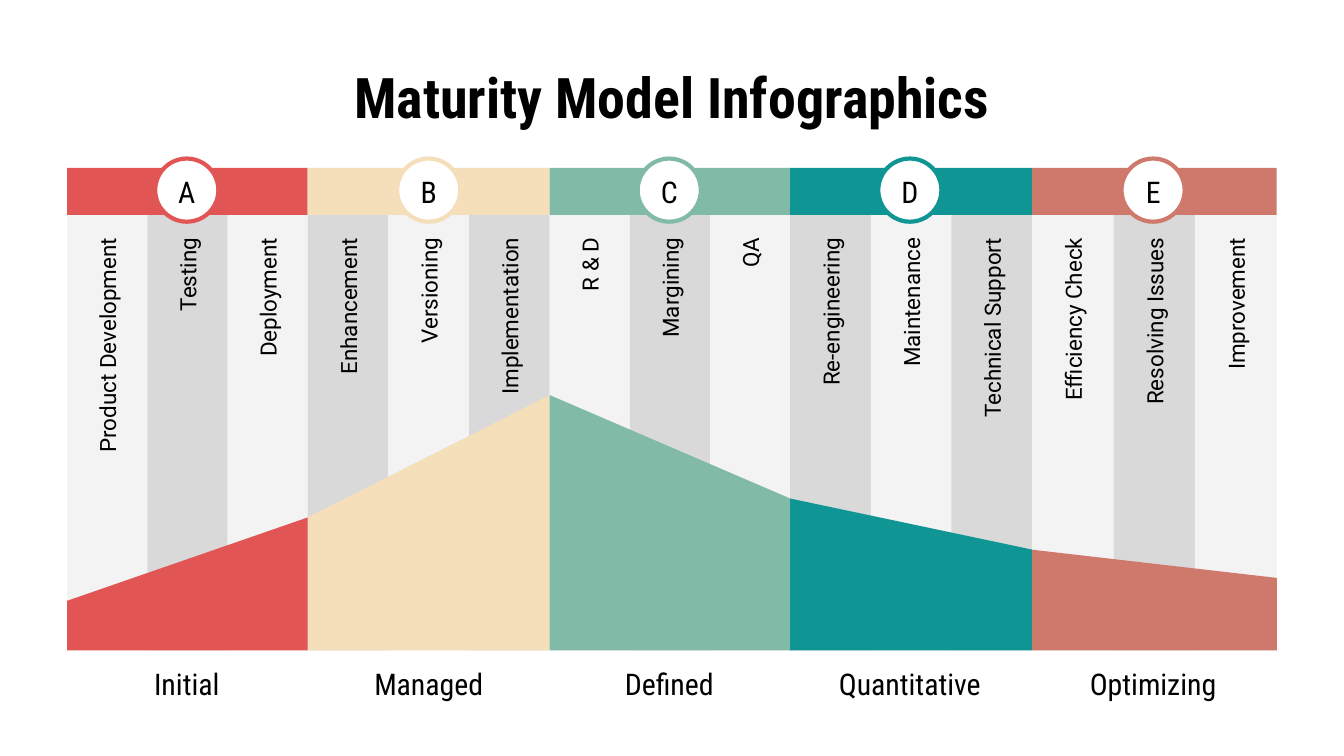
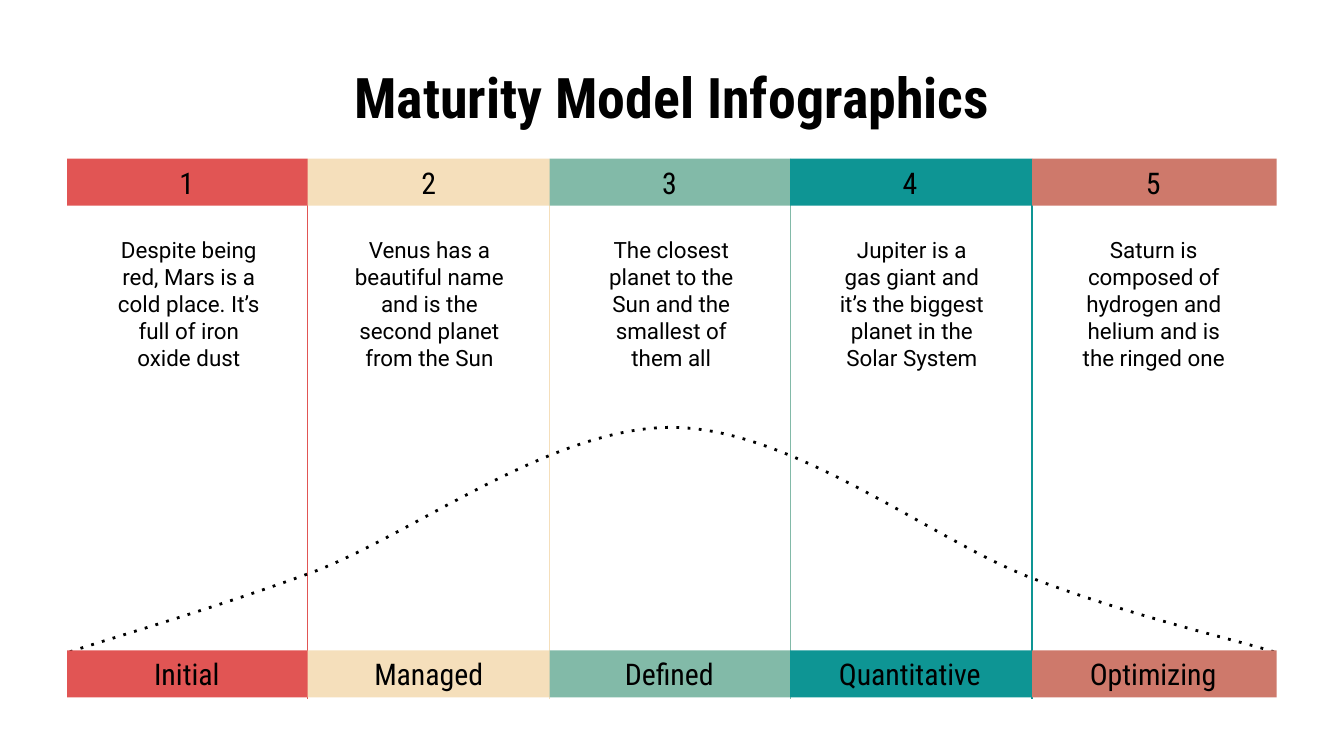
from lxml import etree
from pptx import Presentation
from pptx.dml.color import RGBColor
from pptx.enum import shapes, text
from pptx.oxml.ns import qn
from pptx.util import Inches, Pt

COLORS = {
    "Initial": "E15554",
    "Managed": "F5DFBB",
    "Defined": "82BAA8",
    "Quantitative": "0E9594",
    "Optimizing": "CE796B",
    "light": "F3F3F3",
    "dark": "D9D9D9",
    "white": "FFFFFF",
    "black": "000000",
}
STAGES = ["Initial", "Managed", "Defined", "Quantitative", "Optimizing"]
EDGES = [0.5, 2.29, 4.09, 5.88, 7.68, 9.5]
CENTERS = [1.39, 3.19, 4.98, 6.77, 8.58]
BAND_HEIGHT = 0.35
BASELINE = 4.84
HEADING_FONT, BODY_FONT = "Roboto Condensed", "Roboto"

ACTIVITIES = [
    "Product Development", "Testing", "Deployment",
    "Enhancement", "Versioning", "Implementation",
    "R & D", "Margining", "QA",
    "Re-engineering", "Maintenance", "Technical Support",
    "Efficiency Check", "Resolving Issues", "Improvement",
]
SHORT_LABELS = {"Implementation": 1.44, "R & D": 1.44, "Maintenance": 1.3, "Resolving Issues": 1.47}
PROFILE = [4.47, 3.85, 2.94, 3.71, 4.09, 4.3]
DESCRIPTIONS = [
    "Despite being red, Mars is a cold place. It’s full of iron oxide dust",
    "Venus has a beautiful name and is the second planet from the Sun",
    "The closest planet to the Sun and the smallest of them all",
    "Jupiter is a gas giant and it’s the biggest planet in the Solar System",
    "Saturn is composed of hydrogen and helium and is the ringed one",
]
# Start point, then two control points and an end point per segment
CURVE = [
    (0.52, 4.85),
    (0.82, 4.75), (1.58, 4.53), (2.32, 4.26),
    (3.07, 3.98), (4.11, 3.17), (5.01, 3.18),
    (5.91, 3.19), (6.95, 4.03), (7.7, 4.31),
    (8.44, 4.59), (9.19, 4.76), (9.48, 4.85),
]


def rgb(name):
    return RGBColor.from_string(COLORS[name])


def inches(*lengths):
    return [Inches(length) for length in lengths]


def paint(shape, fill=None, line=None, width=2.25):
    shape.shadow.inherit = False
    if fill:
        shape.fill.solid()
        shape.fill.fore_color.rgb = rgb(fill)
    else:
        shape.fill.background()
    if line:
        shape.line.color.rgb = rgb(line)
        shape.line.width = Pt(width)
    else:
        shape.line.fill.background()


def add_block(slide, box, fill, line=None, kind=shapes.MSO_SHAPE.RECTANGLE):
    block = slide.shapes.add_shape(kind, *inches(*box))
    paint(block, fill, line)


def write(shape, words, size, font=HEADING_FONT, bold=False, align=text.PP_ALIGN.CENTER):
    frame = shape.text_frame
    frame.word_wrap = True
    frame.auto_size = text.MSO_AUTO_SIZE.NONE
    frame.vertical_anchor = text.MSO_ANCHOR.MIDDLE
    frame.margin_left = frame.margin_right = Inches(0.1)
    frame.margin_top = frame.margin_bottom = Inches(0.1)
    paragraph = frame.paragraphs[0]
    paragraph.alignment = align
    run = paragraph.add_run()
    run.text = words
    run.font.size = Pt(size)
    run.font.name = font
    run.font.bold = bold
    run.font.color.rgb = rgb("black")


def add_label(slide, box, words, size=16, **style):
    label = slide.shapes.add_textbox(*inches(*box))
    write(label, words, size, **style)
    return label


def add_titled_slide(deck):
    slide = deck.slides.add_slide(deck.slide_layouts[5])
    title = slide.shapes.title
    title.left, title.top, title.width, title.height = inches(0.5, 0.45, 9, 0.53)
    write(title, "Maturity Model Infographics", 30, bold=True)
    return slide


def add_band(slide, top):
    for stage, left, right in zip(STAGES, EDGES, EDGES[1:]):
        add_block(slide, (left, top, right - left, BAND_HEIGHT), stage)


def add_stage_labels(slide, top, labels, width):
    for center, words in zip(CENTERS, labels):
        add_label(slide, (center - width / 2, top, width, 0.31), words)


def add_activity_strip(slide, box, activity, fill):
    """Draw a strip with its activity reading upwards and ending near the top."""
    left, top, width, _ = box
    add_block(slide, box, fill)
    length, thickness = SHORT_LABELS.get(activity, 1.9), 0.28
    center_x, center_y = left + width / 2, top + 0.07 + length / 2
    label = add_label(
        slide, (center_x - length / 2, center_y - thickness / 2, length, thickness),
        activity, 12, font=BODY_FONT, align=text.PP_ALIGN.RIGHT)
    label.rotation = 270


def add_activities(slide, top):
    for index, activity in enumerate(ACTIVITIES):
        stage, place = divmod(index, 3)
        width = (EDGES[stage + 1] - EDGES[stage]) / 3
        box = (EDGES[stage] + place * width, top, width, BASELINE - top)
        add_activity_strip(slide, box, activity, "dark" if index % 2 else "light")


def add_badges(slide, top, size=0.47):
    for stage, center in zip(STAGES, CENTERS):
        add_block(slide, (center - size / 2, top, size, size), "white", stage,
                  shapes.MSO_SHAPE.OVAL)


def add_outline(slide, points, close):
    start, *rest = [inches(*point) for point in points]
    builder = slide.shapes.build_freeform(*start)
    builder.add_line_segments(rest, close=close)
    return builder.convert_to_shape()


def add_profile(slide):
    for index, stage in enumerate(STAGES):
        left, right = EDGES[index:index + 2]
        corners = [(left, BASELINE), (right, BASELINE),
                   (right, PROFILE[index + 1]), (left, PROFILE[index])]
        paint(add_outline(slide, corners, True), stage)


def add_dividers(slide, top, bottom):
    for stage, x in zip(STAGES, EDGES[1:-1]):
        divider = slide.shapes.add_connector(
            shapes.MSO_CONNECTOR.STRAIGHT, *inches(x, top, x, bottom))
        divider.line.color.rgb = rgb(stage)
        divider.line.width = Pt(0.75)
        etree.SubElement(divider._element.spPr, qn("a:effectLst"))


def add_dotted_curve(slide):
    """Build the outline from straight segments, then merge each three into a Bézier."""
    curve = add_outline(slide, CURVE, False)
    paint(curve, line="black", width=1.5)
    segments = list(curve._element.iter(qn("a:lnTo")))
    for start in range(0, len(segments), 3):
        bezier = etree.Element(qn("a:cubicBezTo"))
        segments[start].addprevious(bezier)
        for segment in segments[start:start + 3]:
            bezier.append(segment[0])
            segment.getparent().remove(segment)
    stroke = curve.line._get_or_add_ln()
    fill = stroke.find(qn("a:solidFill"))
    dash = etree.Element(qn("a:prstDash"), val="dot")
    fill.addnext(dash)


def build_stage_profile(deck):
    slide = add_titled_slide(deck)
    top = 1.25
    add_activities(slide, top + BAND_HEIGHT)
    add_band(slide, top)
    add_badges(slide, top - 0.07)
    add_stage_labels(slide, top + 0.02, "ABCDE", 0.61)
    add_stage_labels(slide, 4.93, STAGES, 1.6)
    add_profile(slide)


def build_stage_curve(deck):
    slide = add_titled_slide(deck)
    top = 1.18
    add_dividers(slide, top, 5.2)
    add_band(slide, top)
    add_stage_labels(slide, top + 0.02, "12345", 0.61)
    add_dotted_curve(slide)
    add_band(slide, BASELINE)
    add_stage_labels(slide, BASELINE + 0.02, STAGES, 1.6)
    for left, description in zip(EDGES, DESCRIPTIONS):
        add_label(slide, (left + 0.25, 1.72, 1.31, 1.08), description, 12, font=BODY_FONT)


def main():
    deck = Presentation()
    deck.slide_width = Inches(10)
    deck.slide_height = deck.slide_width * 9 // 16
    build_stage_profile(deck)
    build_stage_curve(deck)
    deck.save("out.pptx")


if __name__ == "__main__":
    main()
